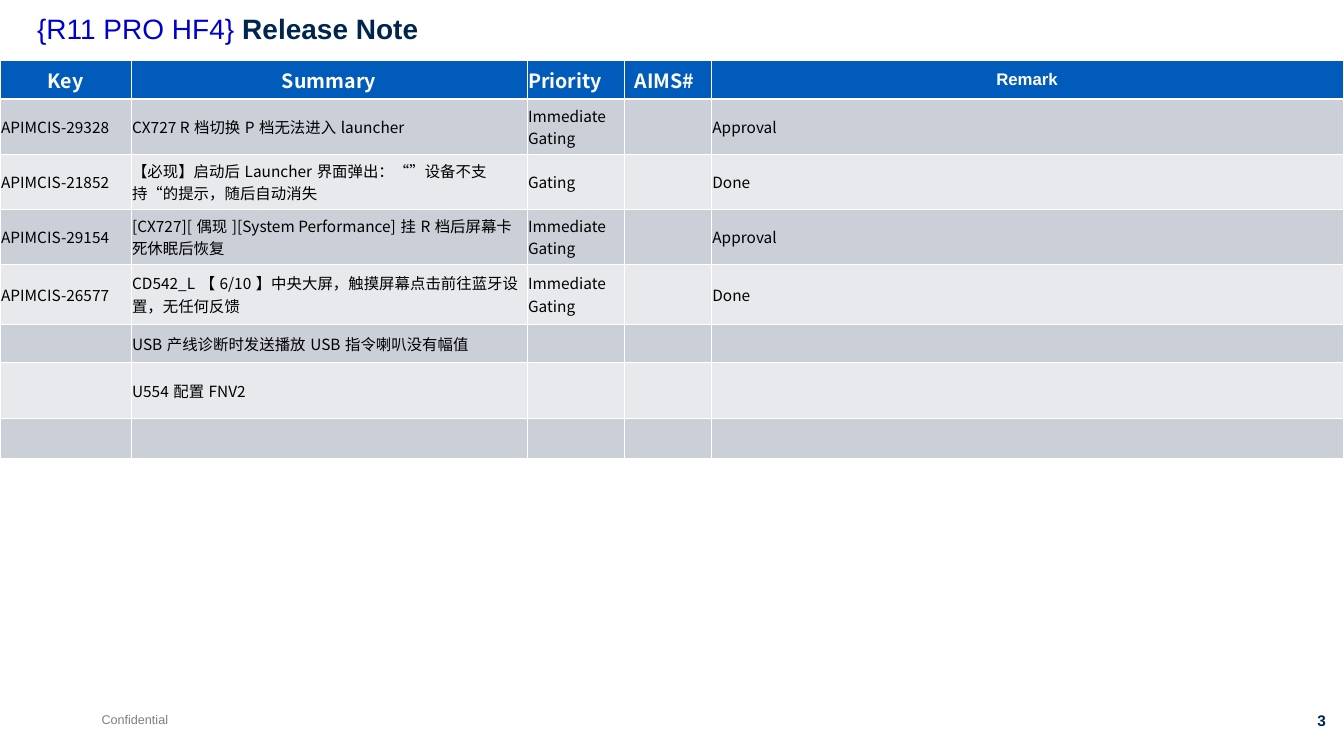
from dataclasses import dataclass

from lxml.etree import SubElement
from pptx import Presentation
from pptx.dml.color import RGBColor
from pptx.enum.text import MSO_ANCHOR as Anchor, PP_ALIGN as Align
from pptx.oxml.ns import qn
from pptx.util import Emu, Inches, Pt

WIDTH, HEIGHT = Inches(13.34), Inches(7.5)
SANS, CJK = "Arial", "Noto Sans CJK SC"
NAVY, BLUE, WHITE = "00264E", "005BBA", "FFFFFF"
BANDS = ("CBCFD8", "E7E9EC")
THIN, THICK = 0.45, 1.47
NARROW, WIDE = 0.08, 0.75


@dataclass(frozen=True)
class Span:
    text: str
    size: float
    color: str
    bold: bool = False


@dataclass(frozen=True)
class Label:
    place: tuple[float, float, float, float]
    spans: tuple[Span, ...]
    align: Align = Align.LEFT
    spacing: float = 1.0
    wrap: bool = True


@dataclass(frozen=True)
class Column:
    heading: str
    width: float
    align: Align = Align.LEFT
    inset: float = NARROW
    font: str = CJK
    size: float = 14


@dataclass(frozen=True)
class Issue:
    height: float
    key: str = ""
    summary: str = ""
    priority: str = ""
    remark: str = ""

    def texts(self) -> tuple[str, ...]:
        return self.key, self.summary, self.priority, "", self.remark


LABELS = (
    Label((6.82, 93.47, 6.45, 3.33), (Span("Confidential", 9, "7F7F7F"),), wrap=False),
    Label((92.35, 93.47, 7.05, 3.87), (Span("3", 11, NAVY, True),), Align.RIGHT, wrap=False),
    Label((2.02, 1.33, 88.83, 8.4),
          (Span("{R11 PRO HF4} ", 20, "0000CC"), Span("Release Note", 20, NAVY, True)),
          spacing=0.9),
)

COLUMNS = (
    Column("Key", 9.75, Align.CENTER),
    Column("Summary", 29.46, Align.CENTER),
    Column("Priority", 7.27),
    Column("AIMS#", 6.45, inset=WIDE),
    Column("Remark", 47, Align.CENTER, WIDE, SANS, 12),
)

HEADER_HEIGHT = 5.1
ISSUES = (
    Issue(7.3, "APIMCIS-29328", "CX727 R档切换P档无法进入launcher", "Immediate Gating", "Approval"),
    Issue(7.3, "APIMCIS-21852", "【必现】启动后Launcher界面弹出：“”设备不支持“的提示，随后自动消失",
          "Gating", "Done"),
    Issue(7.3, "APIMCIS-29154", "[CX727][偶现][System Performance]挂R档后屏幕卡死休眠后恢复",
          "Immediate Gating", "Approval"),
    Issue(7.9, "APIMCIS-26577", "CD542_L【6/10】中央大屏，触摸屏幕点击前往蓝牙设置，无任何反馈",
          "Immediate Gating", "Done"),
    Issue(5.1, summary="USB产线诊断时发送播放USB指令喇叭没有幅值"),
    Issue(7.4, summary="U554配置FNV2"),
    Issue(5.3),
)


def across(share: float) -> Emu:
    return Emu(round(WIDTH * share / 100))


def down(share: float) -> Emu:
    return Emu(round(HEIGHT * share / 100))


def rgb(value: str) -> RGBColor:
    return RGBColor.from_string(value)


def write(para, text: str, *, size: float, color: str, font: str = SANS, bold: bool = False) -> None:
    span = para.add_run()
    span.text = text
    span.font.size = Pt(size)
    span.font.name = font
    span.font.bold = bold
    span.font.color.rgb = rgb(color)
    SubElement(span.font._element, qn("a:ea")).set("typeface", CJK)


def draw_label(page, label: Label) -> None:
    left, top, width, height = label.place
    box = page.shapes.add_textbox(across(left), down(top), across(width), down(height))
    box.text_frame.word_wrap = label.wrap
    para = box.text_frame.paragraphs[0]
    para.alignment = label.align
    para.line_spacing = label.spacing
    for span in label.spans:
        write(para, span.text, size=span.size, color=span.color, bold=span.bold)


def style_cell(cell, fill: str, top: float = THIN, bottom: float = THIN) -> None:
    properties = cell._tc.get_or_add_tcPr()
    for side, weight in (("L", THIN), ("R", THIN), ("T", top), ("B", bottom)):
        line = SubElement(properties, qn(f"a:ln{side}"), w=str(Pt(weight)))
        SubElement(SubElement(line, qn("a:solidFill")), qn("a:srgbClr"), val=WHITE)
    cell.fill.solid()
    cell.fill.fore_color.rgb = rgb(fill)
    cell.vertical_anchor = Anchor.MIDDLE


def fill_cell(cell, text: str, *, inset: float, align: Align = Align.LEFT, **style) -> None:
    if not text:
        cell.margin_top = cell.margin_bottom = 0
        return
    cell.margin_left = cell.margin_right = across(inset)
    para = cell.text_frame.paragraphs[0]
    para.alignment = align
    write(para, text, **style)


def draw_table(page) -> None:
    heights = (HEADER_HEIGHT, *(issue.height for issue in ISSUES))
    width = sum(column.width for column in COLUMNS)
    table = page.shapes.add_table(len(heights), len(COLUMNS), 0, down(8),
                                  across(width), down(sum(heights))).table
    table.first_row = table.horz_banding = False
    for row, height in zip(table.rows, heights):
        row.height = down(height)
    for index, column in enumerate(COLUMNS):
        table.columns[index].width = across(column.width)
        cell = table.cell(0, index)
        style_cell(cell, BLUE, bottom=THICK)
        fill_cell(cell, column.heading, inset=column.inset, align=column.align,
                  font=column.font, size=column.size, color=WHITE, bold=True)
    for number, issue in enumerate(ISSUES):
        for index, text in enumerate(issue.texts()):
            cell = table.cell(number + 1, index)
            style_cell(cell, BANDS[number % 2], top=THIN if number else THICK)
            fill_cell(cell, text, inset=NARROW, font=CJK, size=11, color="000000")


def main() -> None:
    deck = Presentation()
    deck.slide_width, deck.slide_height = WIDTH, HEIGHT
    page = deck.slides.add_slide(deck.slide_layouts[6])
    for label in LABELS:
        draw_label(page, label)
    draw_table(page)
    deck.save("out.pptx")


if __name__ == "__main__":
    main()
